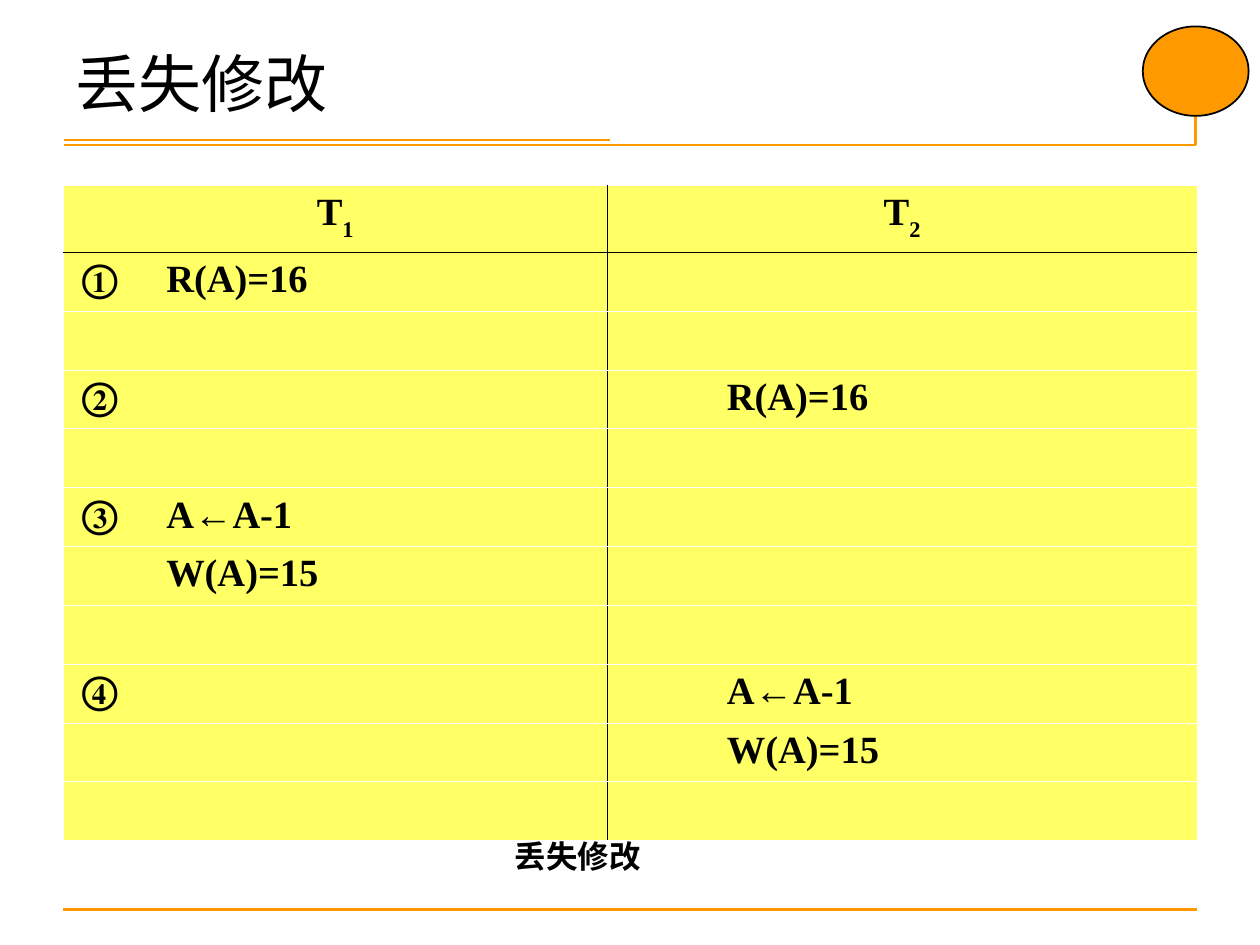
from pptx import Presentation
from pptx.dml.color import RGBColor
from pptx.enum.shapes import MSO_CONNECTOR, MSO_SHAPE
from pptx.enum.text import PP_ALIGN
from pptx.oxml.ns import qn
from pptx.util import Inches, Pt
from lxml import etree

ORANGE = RGBColor(0xFF, 0x99, 0x00)
YELLOW = RGBColor(0xFF, 0xFF, 0x66)
BLACK = RGBColor(0x00, 0x00, 0x00)
WHITE = RGBColor(0xFF, 0xFF, 0xFF)
STRAIGHT = MSO_CONNECTOR.STRAIGHT
OVAL = MSO_SHAPE.OVAL
CENTER = PP_ALIGN.CENTER
LEFT = PP_ALIGN.LEFT
SERIF = "Times New Roman"

COLUMN_WIDTHS = (4.32, 4.68)
TABLE_HEIGHT, HEADER_HEIGHT = 5.2, 0.53
STEP_INDENTS = (0.67, 0.8)  # where the operations start in each column
HEADINGS = (("T", "1"), ("T", "2"))
STEPS = (
    ("①\tR(A)=16", ""),
    ("", ""),
    ("②", "R(A)=16"),
    ("", ""),
    ("③\tA←A-1", ""),
    ("W(A)=15", ""),
    ("", ""),
    ("④", "A←A-1"),
    ("", "W(A)=15"),
    ("", ""),
)


class SlideBuilder:
    def __init__(self, page):
        self.page = page

    def style(self, para, size, bold=False, align=LEFT):
        para.alignment = align
        for span in para.runs:
            span.font.name = SERIF
            span.font.size = Pt(size)
            span.font.bold = bold
            span.font.color.rgb = BLACK

    def rule(self, x1, y1, x2, y2):
        line = self.page.shapes.add_connector(
            STRAIGHT, Inches(x1), Inches(y1), Inches(x2), Inches(y2))
        line.line.color.rgb = ORANGE
        line.line.width = Pt(1.5)
        etree.SubElement(line._element.spPr, qn("a:effectLst"))

    def text(self, words, left, top, width, height, size, wrap=True, **look):
        box = self.page.shapes.add_textbox(
            Inches(left), Inches(top), Inches(width), Inches(height))
        box.text_frame.word_wrap = wrap
        box.text_frame.text = words
        self.style(box.text_frame.paragraphs[0], size, **look)

    def oval(self, left, top, width, height):
        oval = self.page.shapes.add_shape(
            OVAL, Inches(left), Inches(top), Inches(width), Inches(height))
        oval.shadow.inherit = False
        oval.fill.solid()
        oval.fill.fore_color.rgb = ORANGE
        oval.line.color.rgb = BLACK
        oval.line.width = Pt(1)

    def borders(self, cell, colors):
        properties = cell._tc.get_or_add_tcPr()
        for index, (side, color) in enumerate(zip("LRTB", colors)):
            line = etree.Element(qn(f"a:ln{side}"), w=str(Pt(0.45)))
            fill = etree.SubElement(line, qn("a:solidFill"))
            etree.SubElement(fill, qn("a:srgbClr"), val=str(color))
            properties.insert(index, line)

    def indent(self, para, distance):
        """Hang the step number, if any, and start the operation at distance."""
        properties = para._p.get_or_add_pPr()
        offset = str(Inches(distance))
        numbered = para.text[:1] in "①②③④"
        properties.set("marL", offset)
        properties.set("indent", f"-{offset}" if numbered else "0")
        if numbered:
            tabs = etree.SubElement(properties, qn("a:tabLst"))
            etree.SubElement(tabs, qn("a:tab"), pos=offset, algn="l")

    def schedule(self, left, top):
        row_height = (TABLE_HEIGHT - HEADER_HEIGHT) / len(STEPS)
        table = self.page.shapes.add_table(
            len(STEPS) + 1, len(COLUMN_WIDTHS), Inches(left), Inches(top),
            Inches(sum(COLUMN_WIDTHS)), Inches(TABLE_HEIGHT)).table
        for column, width in zip(table.columns, COLUMN_WIDTHS):
            column.width = Inches(width)
        for number, row in enumerate(table.rows):
            row.height = Inches(row_height if number else HEADER_HEIGHT)
            for side, cell in enumerate(row.cells):
                cell.margin_left = cell.margin_right = Inches(0.15)
                cell.fill.solid()
                cell.fill.fore_color.rgb = YELLOW
                self.borders(cell, (
                    BLACK if side == 1 else WHITE,
                    BLACK if side == 0 else WHITE,
                    BLACK if number == 1 else WHITE,
                    BLACK if number == 0 else WHITE))
                para = cell.text_frame.paragraphs[0]
                if number == 0:
                    self.heading(para, *HEADINGS[side])
                elif STEPS[number - 1][side]:
                    para.text = STEPS[number - 1][side]
                    self.indent(para, STEP_INDENTS[side])
                    self.style(para, 22, bold=True)

    def heading(self, para, name, subscript):
        para.text = name
        span = para.add_run()
        span.text = subscript
        self.style(para, 22, bold=True, align=CENTER)
        span._r.get_or_add_rPr().set("baseline", "-30000")


def main():
    deck = Presentation()
    deck.slide_width, deck.slide_height = Inches(10), Inches(7.5)
    builder = SlideBuilder(deck.slides.add_slide(deck.slide_layouts[6]))

    # Frame lines and corner ornament
    builder.rule(0.5, 7.22, 9.5, 7.22)
    builder.rule(0.51, 1.15, 9.49, 1.15)
    builder.rule(9.49, 0.28, 9.49, 1.15)
    builder.oval(9.07, 0.21, 0.84, 0.71)
    builder.rule(0.51, 1.11, 4.84, 1.11)

    # Title, transaction schedule and caption
    builder.text("丢失修改", 0.5, 0.3, 9, 0.85, 36)
    builder.schedule(0.5, 1.47)
    builder.text("丢失修改", 3.61, 6.59, 1.95, 0.4, 18,
                 wrap=False, bold=True, align=CENTER)

    deck.save("out.pptx")


if __name__ == "__main__":
    main()
